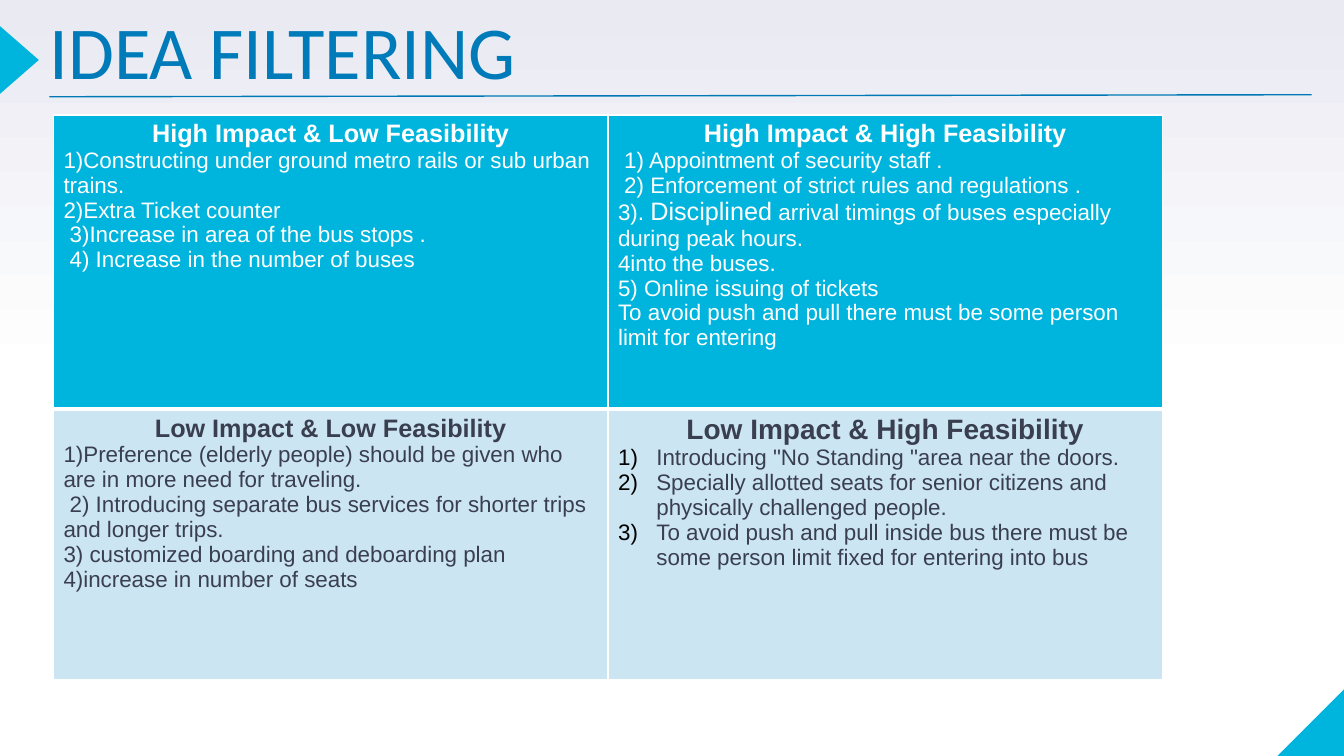
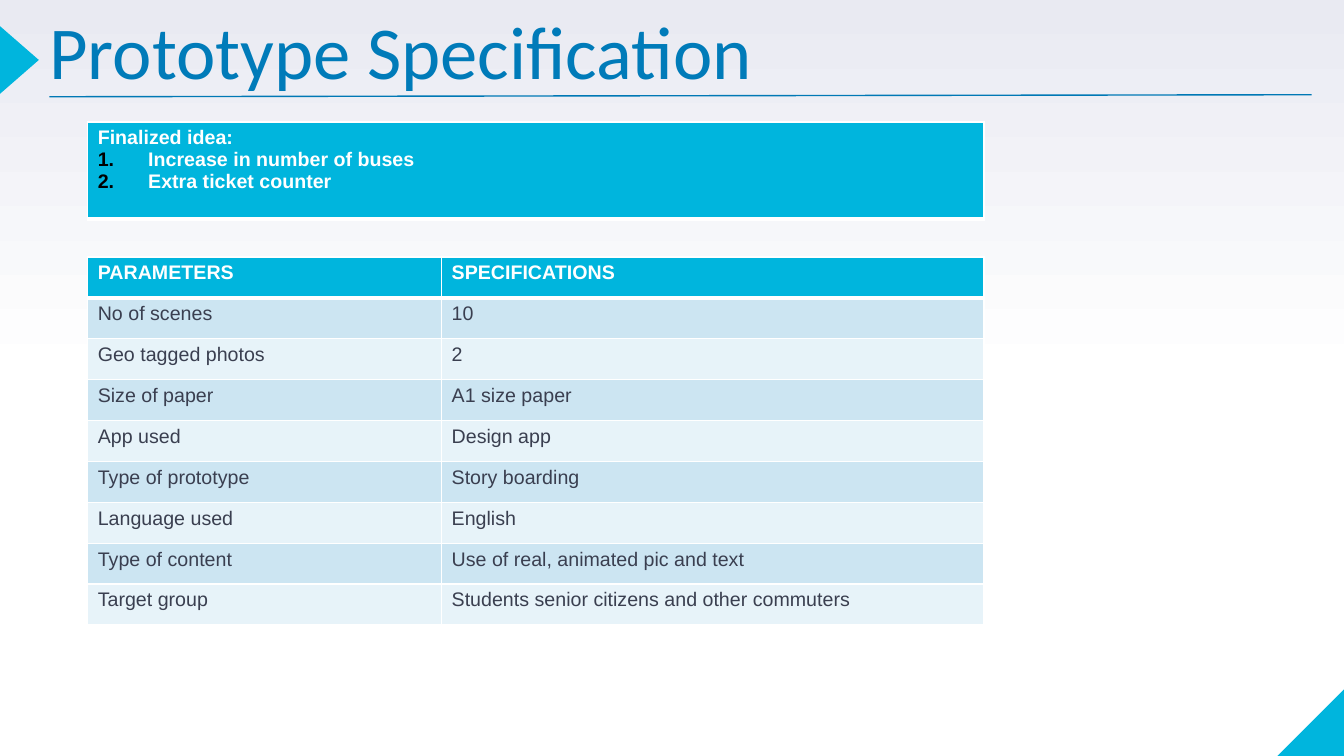
from lxml import etree
from pptx import Presentation
from pptx.dml.color import RGBColor
from pptx.enum import shapes, text
from pptx.oxml import ns
from pptx.util import Inches, Pt

CYAN = RGBColor(0x00, 0xB5, 0xDD)
RULE_BLUE = RGBColor(0x00, 0x78, 0xB5)
TITLE_BLUE = RGBColor(0x00, 0x7B, 0xB9)
INK = RGBColor(0x3A, 0x3F, 0x50)
WHITE = RGBColor(0xFF, 0xFF, 0xFF)
BLACK = RGBColor(0x00, 0x00, 0x00)
HAZE = RGBColor(0xE9, 0xEA, 0xF2)
PALE = RGBColor(0xCC, 0xE5, 0xF2)
PALER = RGBColor(0xE7, 0xF3, 0xF9)


def add_child(parent, tag, **attributes):
    return etree.SubElement(parent, ns.qn(tag), attributes)


def number_paragraph(paragraph, scheme, indent):
    """Give the paragraph an automatic black number and a hanging indent."""
    properties = paragraph._p.get_or_add_pPr()
    properties.set("marL", str(Inches(indent)))
    properties.set("indent", str(-Inches(indent)))
    add_child(add_child(properties, "a:buClr"), "a:srgbClr", val=str(BLACK))
    add_child(properties, "a:buFont", typeface="+mj-lt")
    add_child(properties, "a:buAutoNum", type=scheme)


def write(frame, content, size=16, color=INK, bold=False, font="Arial",
          align=text.PP_ALIGN.LEFT, numbering=None, indent=0.38):
    """Append a paragraph; content is a string or a list of (string, size) runs."""
    paragraph = frame.paragraphs[-1]
    if paragraph.runs:
        paragraph = frame.add_paragraph()
    if numbering:
        number_paragraph(paragraph, numbering, indent)
    paragraph.alignment = align
    runs = [(content, size)] if isinstance(content, str) else content
    for words, run_size in runs:
        run = paragraph.add_run()
        run.text = words
        run.font.size = Pt(run_size)
        run.font.name = font
        run.font.bold = bold
        run.font.color.rgb = color
    return paragraph


class Deck:
    def __init__(self):
        self.presentation = Presentation()
        self.presentation.slide_width = Inches(13.33)
        self.presentation.slide_height = Inches(7.5)
        self.slide = None
        backdrop = self.presentation.slide_master.background.fill
        backdrop.gradient()
        backdrop.gradient_angle = 90
        for stop, position, color in zip(backdrop.gradient_stops, (0.5, 1), (WHITE, HAZE)):
            stop.position = position
            stop.color.rgb = color

    def start_slide(self, title):
        self.slide = self.presentation.slides.add_slide(self.presentation.slide_layouts[5])
        self.triangle(shapes.MSO_SHAPE.RIGHT_TRIANGLE, 12.67, 6.82, 0.68, 0.68, 270)
        self.triangle(shapes.MSO_SHAPE.ISOSCELES_TRIANGLE, -0.15, 0.4, 0.68, 0.39, 90)
        self.title_rule()
        self.title(title)

    def triangle(self, kind, left, top, width, height, rotation):
        corner = self.slide.shapes.add_shape(
            kind, Inches(left), Inches(top), Inches(width), Inches(height))
        corner.rotation = rotation
        corner.shadow.inherit = False
        corner.fill.solid()
        corner.fill.fore_color.rgb = CYAN
        corner.line.fill.background()

    def title_rule(self):
        rule = self.slide.shapes.add_connector(
            shapes.MSO_CONNECTOR.STRAIGHT,
            Inches(0.49), Inches(0.96), Inches(13.01), Inches(0.94))
        rule.line.color.rgb = RULE_BLUE
        rule.line.width = Pt(1)
        add_child(rule._element.spPr, "a:effectLst")

    def title(self, words):
        heading = self.slide.shapes.title
        heading.left, heading.top = Inches(0.49), Inches(0.24)
        heading.width, heading.height = Inches(12.52), Inches(0.68)
        frame = heading.text_frame
        frame.margin_left = frame.margin_right = 0
        frame.margin_top = frame.margin_bottom = 0
        frame.auto_size = text.MSO_AUTO_SIZE.NONE
        frame.vertical_anchor = text.MSO_ANCHOR.MIDDLE
        write(frame, words, size=53.3, color=TITLE_BLUE, font="Calibri").line_spacing = 0.8

    def table(self, left, top, widths, heights):
        """Add a table with a cyan header row and banded rows; return it for filling."""
        grid = self.slide.shapes.add_table(
            len(heights), len(widths), Inches(left), Inches(top),
            Inches(sum(widths)), Inches(sum(heights))).table
        grid.first_row = grid.horz_banding = False
        for column, width in zip(grid.columns, widths):
            column.width = Inches(width)
        for index, (row, height) in enumerate(zip(grid.rows, heights)):
            row.height = Inches(height)
            band = PALE if index % 2 else PALER
            for cell in row.cells:
                self.border(cell, bottom=1 if index else 3)
                cell.fill.solid()
                cell.fill.fore_color.rgb = band if index else CYAN
        return grid

    def border(self, cell, bottom):
        properties = cell._tc.get_or_add_tcPr()
        for side, width in (("L", 1), ("R", 1), ("T", 1), ("B", bottom)):
            edge = add_child(properties, f"a:ln{side}", w=str(Pt(width)))
            add_child(add_child(edge, "a:solidFill"), "a:srgbClr", val=str(WHITE))


QUADRANTS = [
    [("High Impact & Low Feasibility", 18, [
        "1)Constructing under ground metro rails or sub urban trains.",
        "2)Extra Ticket counter",
        " 3)Increase in area of the bus stops .",
        " 4) Increase in the number of buses"]),
     ("High Impact & High Feasibility", 18, [
         " 1) Appointment of security staff .",
         " 2) Enforcement of strict rules and regulations .",
         [("3). ", 16), ("Disciplined", 18),
          (" arrival timings of buses especially during peak hours.", 16)],
         "4into the buses.",
         "5) Online issuing of tickets",
         "To avoid push and pull there must be some person limit for entering"])],
    [("Low Impact & Low Feasibility", 18, [
        "1)Preference (elderly people) should be given who are in more need for traveling.",
        " 2) Introducing separate bus services for shorter trips and longer trips.",
        "3) customized boarding and deboarding plan",
        "4)increase in number of seats"]),
     ("Low Impact & High Feasibility", 20, [
         'Introducing "No Standing "area near the doors.',
         "Specially allotted seats for senior citizens and physically challenged people.",
         "To avoid push and pull inside bus there must be some person limit fixed "
         "for entering into bus"])],
]

SPECIFICATIONS = [
    ("PARAMETERS", "SPECIFICATIONS"),
    ("No of scenes", "10"),
    ("Geo tagged photos", "2"),
    ("Size of paper", "A1 size paper"),
    ("App used", "Design app"),
    ("Type of prototype", "Story boarding"),
    ("Language used", "English"),
    ("Type of content", "Use of real, animated pic and text"),
    ("Target group", "Students senior citizens and other commuters"),
]


def add_idea_filtering(deck):
    deck.start_slide("IDEA FILTERING")
    matrix = deck.table(0.53, 1.14, [5.5, 5.5], [2.92, 2.68])
    for row, quadrants in enumerate(QUADRANTS):
        for column, (heading, heading_size, ideas) in enumerate(quadrants):
            frame = matrix.cell(row, column).text_frame
            color = INK if row else WHITE
            write(frame, heading, size=heading_size, color=color, bold=True,
                  align=text.PP_ALIGN.CENTER)
            numbering = "arabicParenR" if row and column else None
            for idea in ideas:
                write(frame, idea, color=color, numbering=numbering)


def add_prototype_specification(deck):
    deck.start_slide("Prototype Specification")
    final_idea = deck.table(0.87, 1.21, [8.89], [0.96]).cell(0, 0).text_frame
    write(final_idea, "Finalized idea:", size=14, color=WHITE, bold=True)
    for idea in ("Increase in number of buses", "Extra ticket counter"):
        write(final_idea, idea, size=14, color=WHITE, bold=True,
              numbering="arabicPeriod", indent=0.5)

    row_height = 3.65 / len(SPECIFICATIONS)
    details = deck.table(0.87, 2.55, [3.51, 5.38], [row_height] * len(SPECIFICATIONS))
    for row, entries in enumerate(SPECIFICATIONS):
        for column, entry in enumerate(entries):
            write(details.cell(row, column).text_frame, entry, size=14,
                  color=INK if row else WHITE, bold=row == 0)


def main():
    deck = Deck()
    add_idea_filtering(deck)
    add_prototype_specification(deck)
    deck.presentation.save("out.pptx")


if __name__ == "__main__":
    main()
